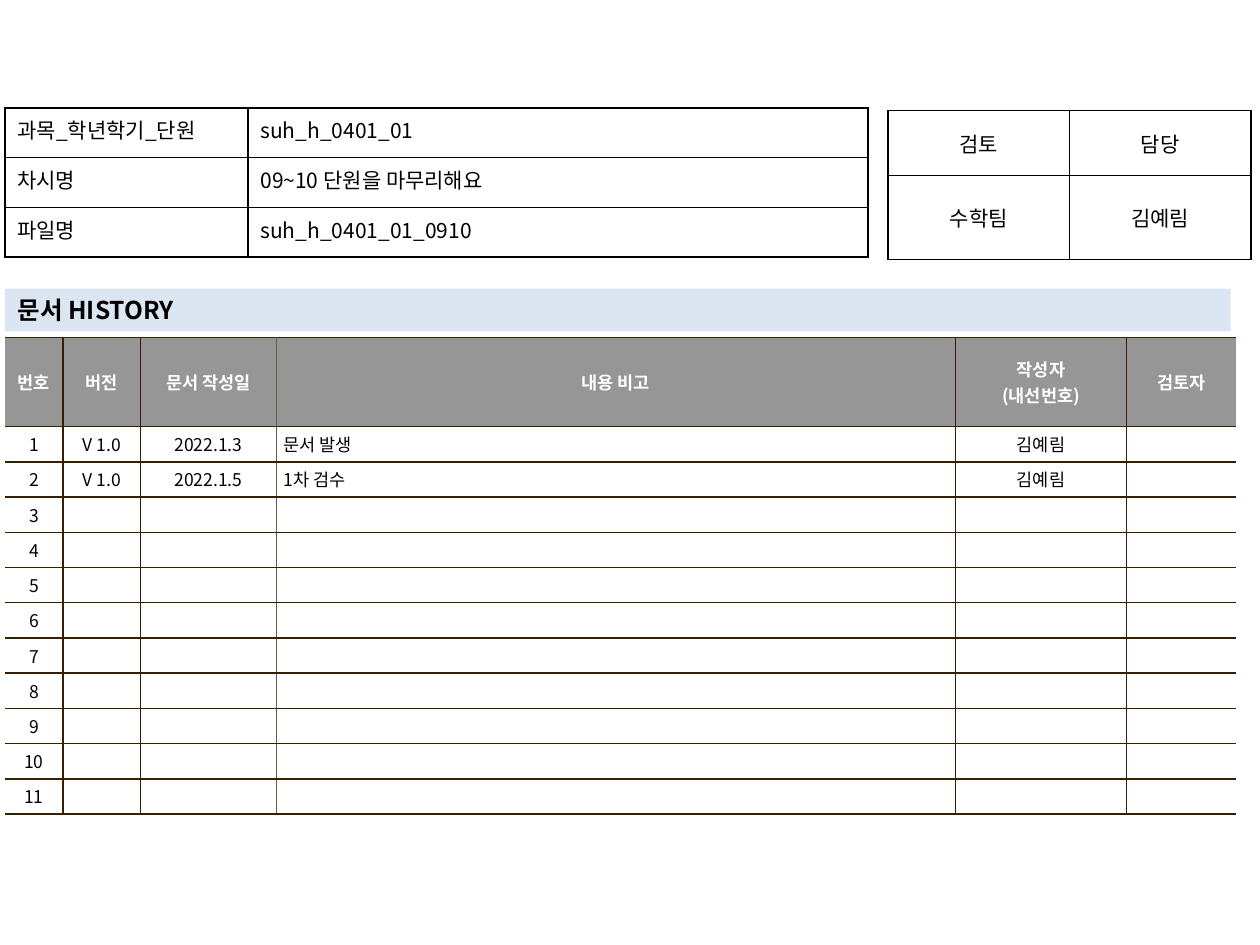
from dataclasses import dataclass

from lxml import etree
from pptx import Presentation
from pptx.dml.color import RGBColor
from pptx.enum.text import MSO_ANCHOR, MSO_AUTO_SIZE, PP_ALIGN
from pptx.oxml.ns import qn
from pptx.util import Cm, Pt

LEFT, CENTER, JUSTIFY = PP_ALIGN.LEFT, PP_ALIGN.CENTER, PP_ALIGN.JUSTIFY
TOP, MIDDLE = MSO_ANCHOR.TOP, MSO_ANCHOR.MIDDLE
NO_AUTOFIT = MSO_AUTO_SIZE.NONE

FONT = "Noto Sans CJK KR"
COLORS = {
    "black": "000000",
    "white": "FFFFFF",
    "header": "969696",
    "band": "DCE6F2",
    "brown": "362000",
    "taupe": "645B4C",
}
TITLE_ONLY = 5
HISTORY_ENTRIES = 11
DATE_COLUMN = 2


@dataclass
class TableStyle:
    size: int
    border: str
    alignments: list
    anchor: MSO_ANCHOR
    inset_x: float
    inset_y: float
    header_fill: str | None = None
    body_fill: str | None = None
    open_sides: bool = False
    special_edges: dict | None = None  # column to the left of the edge -> colour


@dataclass
class TableSpec:
    left: float
    top: float
    widths: list
    heights: list
    rows: list
    style: TableStyle


def color(name: str) -> RGBColor:
    return RGBColor.from_string(COLORS[name])


def format_paragraph(para, size: int, ink: str, bold: bool, alignment) -> None:
    para.alignment = alignment
    font = para.font
    font.name, font.size, font.bold = FONT, Pt(size), bold
    font.color.rgb = color(ink)
    defaults = para._p.pPr.find(qn("a:defRPr"))
    etree.SubElement(defaults, qn("a:ea"), typeface=FONT)
    if not para.text:
        # An empty line takes its height from the end-of-paragraph size.
        etree.SubElement(para._p, qn("a:endParaRPr"), sz=str(size * 100))


def add_border(cell, side: str, ink: str | None) -> None:
    line = etree.SubElement(cell._tc.get_or_add_tcPr(), qn(f"a:ln{side}"), w=str(Pt(1)))
    if ink is None:
        etree.SubElement(line, qn("a:noFill"))
    else:
        fill = etree.SubElement(line, qn("a:solidFill"))
        etree.SubElement(fill, qn("a:srgbClr"), val=COLORS[ink])


def edge_color(style: TableStyle, edge: int, column_count: int) -> str | None:
    """Colour of the vertical edge to the right of column `edge` (-1 is the outer left)."""
    if style.open_sides and edge in (-1, column_count - 1):
        return None
    return (style.special_edges or {}).get(edge, style.border)


def format_cell(cell, row: int, column: int, column_count: int, style: TableStyle) -> None:
    is_header = row == 0 and style.header_fill is not None
    add_border(cell, "L", edge_color(style, column - 1, column_count))
    add_border(cell, "R", edge_color(style, column, column_count))
    add_border(cell, "T", style.border)
    add_border(cell, "B", style.border)

    fill = style.header_fill if is_header else style.body_fill
    if fill is None:
        cell.fill.background()
    else:
        cell.fill.solid()
        cell.fill.fore_color.rgb = color(fill)

    cell.vertical_anchor = style.anchor
    cell.margin_left = cell.margin_right = Cm(style.inset_x)
    cell.margin_top = cell.margin_bottom = Cm(style.inset_y)
    alignment = CENTER if is_header else style.alignments[column]
    for para in cell.text_frame.paragraphs:
        format_paragraph(para, style.size, "white" if is_header else "black", is_header, alignment)


def add_grid(slide, spec: TableSpec) -> None:
    row_count, column_count = len(spec.rows), len(spec.widths)
    table = slide.shapes.add_table(
        row_count, column_count, Cm(spec.left), Cm(spec.top),
        Cm(sum(spec.widths)), Cm(sum(spec.heights)),
    ).table
    table.first_row = table.horz_banding = False
    for column, width in zip(table.columns, spec.widths):
        column.width = Cm(width)
    for row, height in zip(table.rows, spec.heights):
        row.height = Cm(height)
    for r, texts in enumerate(spec.rows):
        for c, text in enumerate(texts):
            cell = table.cell(r, c)
            cell.text = text
            format_cell(cell, r, c, column_count, spec.style)


def format_title(slide, text: str) -> None:
    title = slide.shapes.title
    title.left, title.top, title.width, title.height = Cm(0.1), Cm(5.82), Cm(24.71), Cm(0.86)
    title.fill.solid()
    title.fill.fore_color.rgb = color("band")
    frame = title.text_frame
    frame.auto_size = NO_AUTOFIT
    frame.vertical_anchor = MIDDLE
    frame.text = text
    format_paragraph(frame.paragraphs[0], 14, "black", True, LEFT)


def history_rows() -> list:
    header = ["번호", "버전", "문서 작성일", "내용 비고", "작성자\n(내선번호)", "검토자"]
    filled = [
        ["V 1.0", "2022.1.3", "문서 발생", "김예림", ""],
        ["V 1.0", "2022.1.5", "1차 검수", "김예림", ""],
    ]
    blank = [[""] * 5] * (HISTORY_ENTRIES - len(filled))
    return [header] + [[str(n), *entry] for n, entry in enumerate(filled + blank, 1)]


def main() -> None:
    deck = Presentation()
    deck.slide_width, deck.slide_height = Cm(25.4), Cm(19.05)
    slide = deck.slides.add_slide(deck.slide_layouts[TITLE_ONLY])

    history_style = TableStyle(
        10, "brown", [CENTER, CENTER, CENTER, LEFT, CENTER, CENTER], MIDDLE, 0.15, 0.1,
        header_fill="header", body_fill="white", open_sides=True,
        special_edges={DATE_COLUMN: "taupe"},
    )
    review_style = TableStyle(12, "black", [CENTER, CENTER], MIDDLE, 0.25, 0.13)
    lesson_style = TableStyle(12, "black", [JUSTIFY, LEFT], TOP, 0.25, 0.13)

    format_title(slide, "문서 HISTORY")
    add_grid(slide, TableSpec(
        0.1, 6.8, [1.17, 1.56, 2.74, 13.69, 3.45, 2.2],
        [1.8] + [0.71] * HISTORY_ENTRIES, history_rows(), history_style,
    ))
    add_grid(slide, TableSpec(
        17.9, 2.23, [3.66, 3.66], [1.31, 1.69],
        [["검토", "담당"], ["수학팀", "김예림"]], review_style,
    ))
    add_grid(slide, TableSpec(
        0.1, 2.18, [4.9, 12.5], [1.0] * 3,
        [
            ["과목_학년학기_단원", "suh_h_0401_01"],
            ["차시명", "09~10 단원을 마무리해요"],
            ["파일명", "suh_h_0401_01_0910"],
        ],
        lesson_style,
    ))
    deck.save("out.pptx")


if __name__ == "__main__":
    main()
